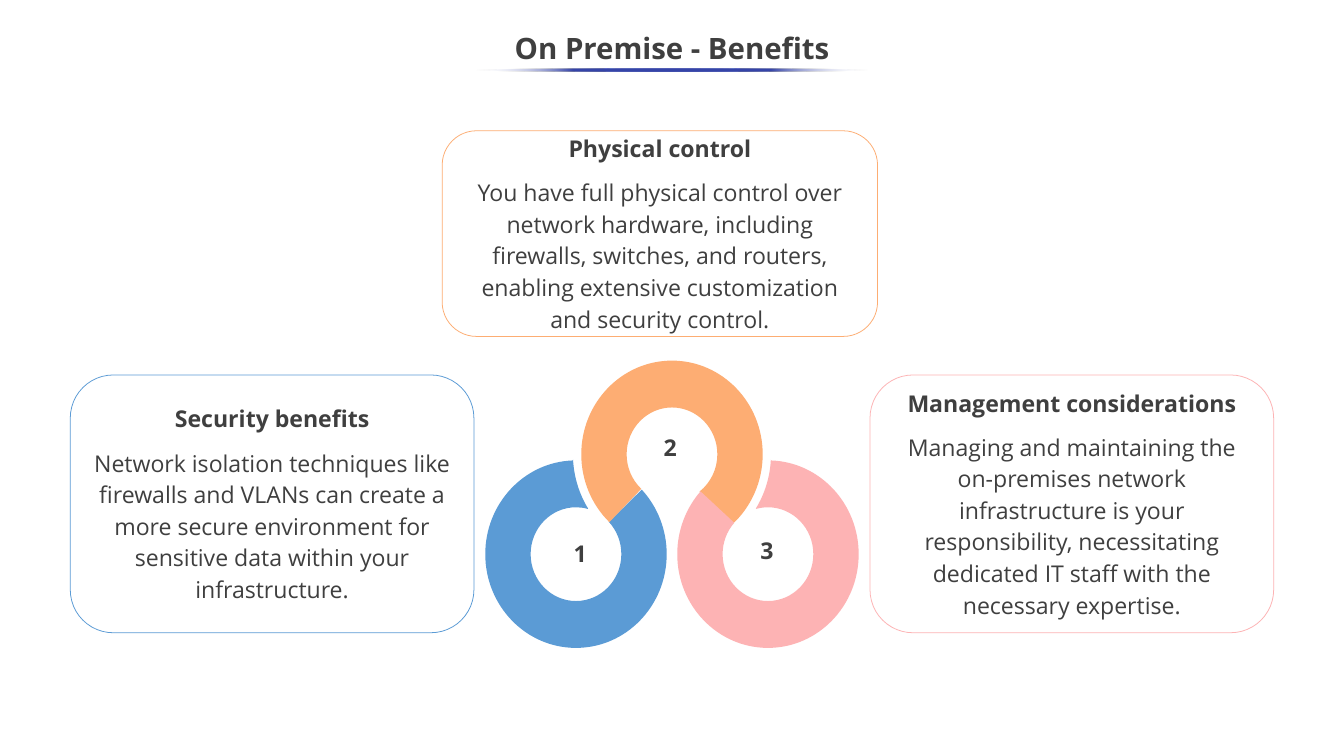
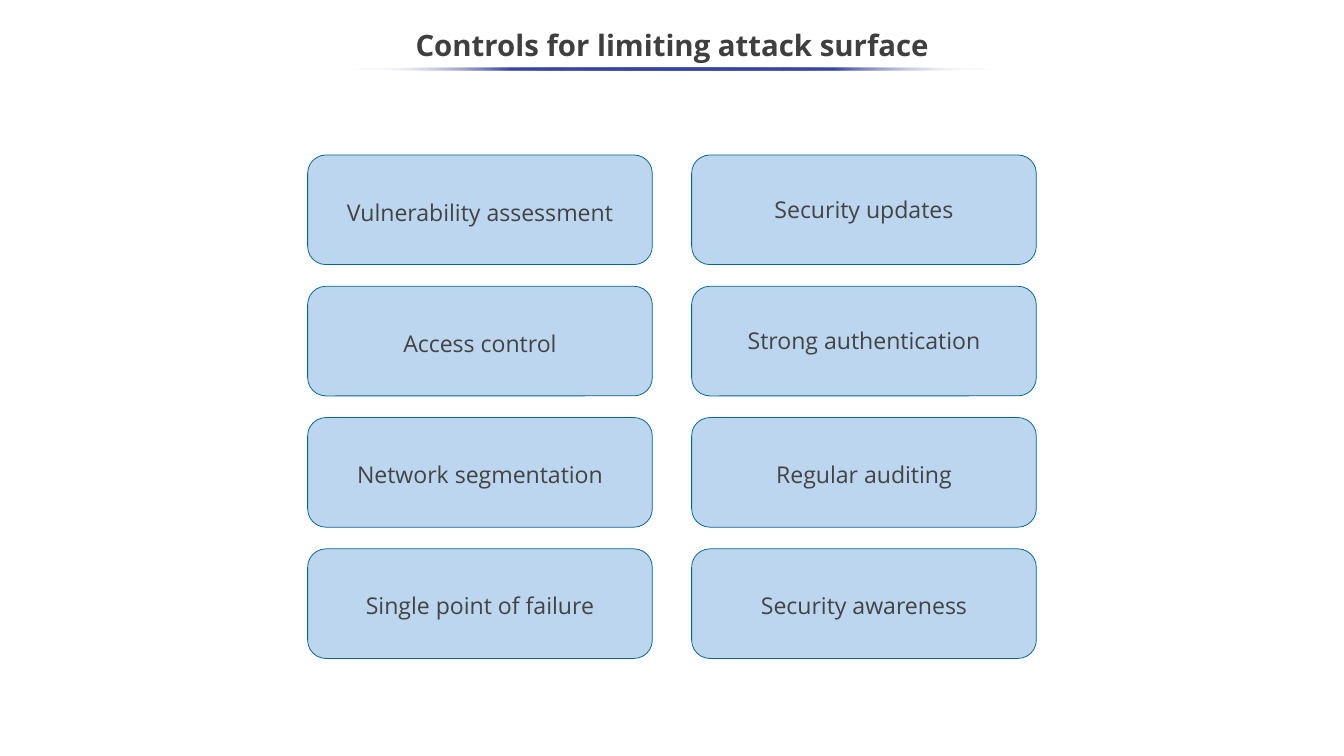
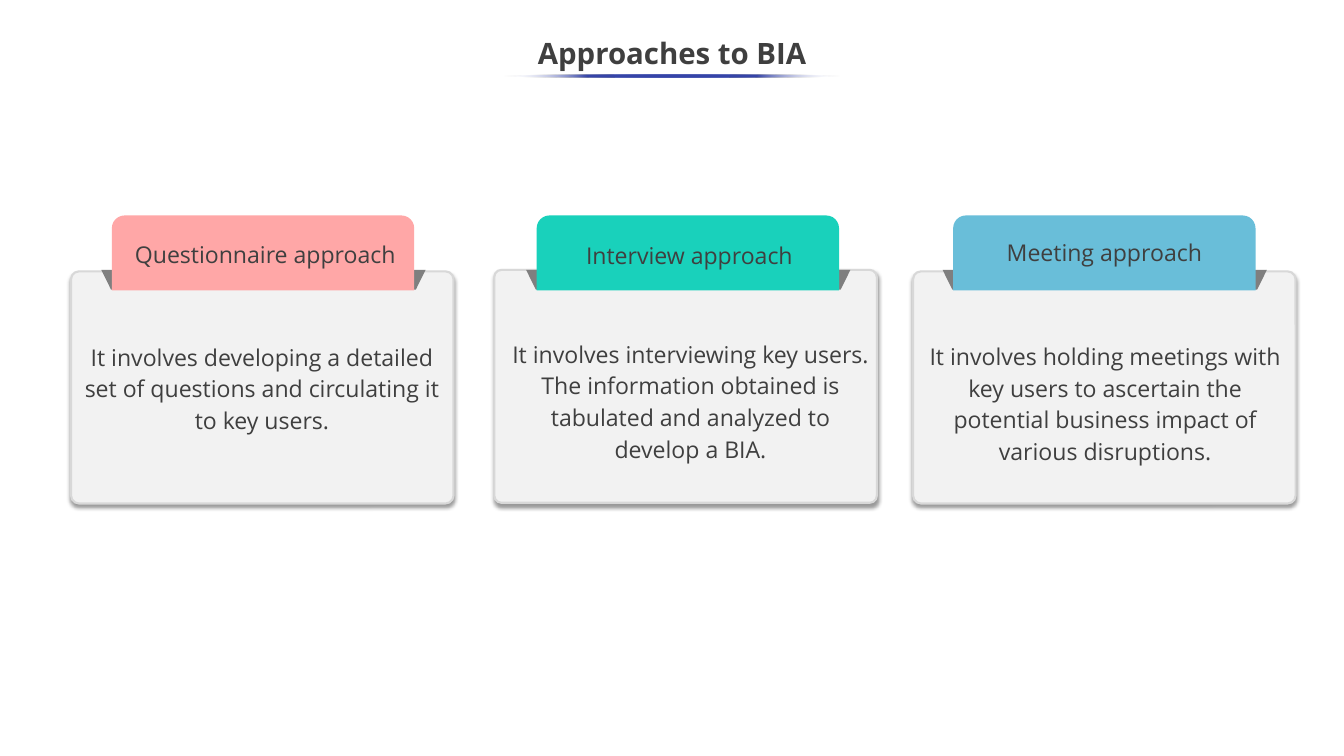
"""Build three slides on network security."""
import math

import lxml.etree
import pptx
import pptx.dml.color
import pptx.enum.shapes
import pptx.enum.text
import pptx.oxml
import pptx.oxml.ns
import pptx.util

Inches = pptx.util.Inches
Pt = pptx.util.Pt
RGBColor = pptx.dml.color.RGBColor
SHAPE = pptx.enum.shapes.MSO_SHAPE
ANCHOR = pptx.enum.text.MSO_ANCHOR
FIT = pptx.enum.text.MSO_AUTO_SIZE
CENTER = pptx.enum.text.PP_ALIGN.CENTER
tag = pptx.oxml.ns.qn

INK = RGBColor(0x3F, 0x3F, 0x3F)
SLATE = RGBColor(0x43, 0x43, 0x43)
NAVY = RGBColor(0x36, 0x45, 0xA9)
WHITE = RGBColor(0xFF, 0xFF, 0xFF)
BLUE = RGBColor(0x5B, 0x9B, 0xD5)
ORANGE = RGBColor(0xFD, 0xAD, 0x73)
PINK = RGBColor(0xFD, 0xB3, 0xB4)
PALE = RGBColor(0xBB, 0xD6, 0xEE)
TEAL = RGBColor(0x05, 0x66, 0x8D)
CORAL = RGBColor(0xFF, 0xA7, 0xA7)
MINT = RGBColor(0x19, 0xD1, 0xBB)
SKY = RGBColor(0x69, 0xBE, 0xD9)
CARD = RGBColor(0xF2, 0xF2, 0xF2)
EDGE = RGBColor(0xD8, 0xD8, 0xD8)
FOLD = RGBColor(0x7F, 0x7F, 0x7F)

BASE = {"name": "Open Sans", "size": Pt(22), "bold": False}
BOLD = {**BASE, "bold": True}
TITLE = {**BOLD, "size": Pt(28)}
BODY = {"alignment": CENTER, "line_spacing": 1.14}
TIGHT = {"alignment": CENTER, "line_spacing": 0.9}
PLAIN = {"alignment": CENTER}
MIDDLE = {"word_wrap": True, "vertical_anchor": ANCHOR.MIDDLE,
          "auto_size": FIT.NONE}
GROW = {"word_wrap": True, "vertical_anchor": ANCHOR.TOP,
        "auto_size": FIT.SHAPE_TO_FIT_TEXT}

DRAWING = pptx.oxml.ns.nsdecls("a")
SHADOW = (f'<a:effectLst {DRAWING}><a:outerShdw blurRad="{Pt(4)}" dist="{Pt(3)}" '
          'dir="5400000" algn="t" rotWithShape="0"><a:srgbClr val="000000">'
          '<a:alpha val="40000"/></a:srgbClr></a:outerShdw></a:effectLst>')

MID = 8.89
RING = (1.2, 1.24)
HOLE = (0.6, 0.62)
GAP = (1.31, 1.35)
TOP = (MID, 6.01)


def apply(target, values):
    """Set each named value on the target."""
    for name, value in values.items():
        setattr(target, name, value)


def write(par, text, look, font, color=INK):
    """Put one formatted text into a paragraph."""
    par.text = text
    apply(par, look)
    apply(par.font, font)
    par.font.color.rgb = color


def paint(shape, fill=None, line=None, width=0.75):
    """Give a shape its fill and line, without shadow."""
    shape.shadow.inherit = False
    if fill is None:
        shape.fill.background()
    else:
        shape.fill.solid()
        shape.fill.fore_color.rgb = fill
    if line is None:
        shape.line.fill.background()
    else:
        shape.line.color.rgb = line
        shape.line.width = Pt(width)


def block(slide, kind, box, adjust=(), **colors):
    """Add a painted preset shape."""
    shape = slide.shapes.add_shape(kind, *map(Inches, box))
    for index, value in enumerate(adjust):
        shape.adjustments[index] = value
    paint(shape, **colors)
    return shape


def swap(shape, name, xml):
    """Replace a named part of the shape's properties."""
    props = shape.element.spPr
    props.replace(props.find(tag(name)), pptx.oxml.parse_xml(xml))


def label(slide, box, text, look, font=BASE):
    """Add a text box that fits its text."""
    frame = slide.shapes.add_textbox(*map(Inches, box)).text_frame
    apply(frame, GROW)
    write(frame.paragraphs[0], text, look, font)


def streak(slide, top, width):
    """Add the fading rule below a title."""
    rule = block(slide, SHAPE.OVAL, (MID - width / 2, top, width, 0.04), fill=NAVY)
    stops = "".join(
        f'<a:gs pos="{place * 1000}"><a:srgbClr val="{color}">'
        f'<a:alpha val="{alpha * 1000}"/></a:srgbClr></a:gs>'
        for place, color, alpha in ((0, WHITE, 0), (25, NAVY, 100), (50, NAVY, 100),
                                    (75, NAVY, 100), (100, WHITE, 0)))
    swap(rule, "a:solidFill",
         f'<a:gradFill {DRAWING} rotWithShape="1"><a:gsLst>{stops}</a:gsLst>'
         '<a:lin ang="10800000" scaled="0"/></a:gradFill>')


def page(deck, text, top):
    """Add a slide with its title."""
    slide = deck.slides.add_slide(deck.slide_layouts[5])
    title = slide.shapes.title
    apply(title, {"left": Inches(-0.01), "top": Inches(top),
                  "width": Inches(17.8), "height": Inches(0.75)})
    apply(title.text_frame, MIDDLE)
    write(title.text_frame.paragraphs[0], text, TIGHT, TITLE)
    return slide


def arc(center, radii, start, end):
    """Return an elliptic arc as curve points, split at the quarters."""
    low, high = sorted((start, end))
    turns = [low, *range(math.floor(low / 90) * 90 + 90, math.ceil(high), 90), high]
    if start > end:
        turns.reverse()

    def spot(turn, pull=0):
        """Return a point on the ellipse, moved along its tangent."""
        cos, sin = math.cos(math.radians(turn)), math.sin(math.radians(turn))
        return (center[0] + radii[0] * (cos - pull * sin),
                center[1] + radii[1] * (sin + pull * cos))

    points = [spot(start)]
    for first, last in zip(turns, turns[1:]):
        pull = 4 / 3 * math.tan(math.radians(last - first) / 4)
        points += [spot(first, pull), spot(last, -pull), spot(last)]
    return points


def join(*arcs):
    """Link arcs by straight curves into one closed outline."""
    points = list(arcs[0])
    for part in arcs[1:]:
        points += [points[-1], part[0], *part]
    return points


def outline(slide, points, color):
    """Add a filled freeform made of curves."""
    dots = [(Inches(x), Inches(y)) for x, y in points]
    pen = slide.shapes.build_freeform(*dots[0])
    pen.add_line_segments(dots[1:], close=True)
    shape = pen.convert_to_shape()
    trace = next(shape.element.iter(tag("a:path")))
    lines = trace.findall(tag("a:lnTo"))
    for index in range(0, len(points) - 1, 3):
        curve = lxml.etree.Element(tag("a:cubicBezTo"))
        lines[index].addprevious(curve)
        for line in lines[index:index + 3]:
            curve.append(line[0])
            trace.remove(line)
    paint(shape, fill=color)


def hook(cut):
    """Return the outline of the left ring, open at the cut angle."""
    center = (7.62, 7.33)
    return join(arc(center, HOLE, cut, 285), arc(TOP, GAP, 148, 177),
                arc(center, RING, 268, cut))


def note(slide, box, color, head, text):
    """Add a rounded outline with a heading and a text."""
    frame = block(slide, SHAPE.ROUNDED_RECTANGLE, box, [0.167], line=color).text_frame
    apply(frame, MIDDLE)
    write(frame.paragraphs[0], head, PLAIN, BOLD)
    write(frame.add_paragraph(), text, {**BODY, "space_before": Pt(12)}, BASE)


def benefits(deck):
    """Build the slide with three linked rings."""
    slide = page(deck, "On Premise - Benefits", 0.29)
    note(slide, (5.85, 1.73, 5.76, 2.72), ORANGE, "Physical control",
         "You have full physical control over network hardware, including firewalls, "
         "switches, and routers, enabling extensive customization and security control.")
    note(slide, (0.93, 4.96, 5.34, 3.41), BLUE, "Security benefits",
         "Network isolation techniques like firewalls and VLANs can create a more "
         "secure environment for sensitive data within your infrastructure.")
    note(slide, (11.51, 4.96, 5.34, 3.41), PINK, "Management considerations",
         "Managing and maintaining the on-premises network infrastructure is your "
         "responsibility, necessitating dedicated IT staff with the necessary expertise.")
    outline(slide, hook(-43.5), BLUE)
    outline(slide, join(arc(TOP, RING, 133.7, 407.6), arc(TOP, HOLE, 412.6, 132.6)),
            ORANGE)
    outline(slide, [(2 * MID - x, y) for x, y in hook(-42)], PINK)
    for digit, left, top in (("1", 7.26, 7.08), ("2", 8.45, 5.69), ("3", 9.73, 7.04)):
        label(slide, (left, top, 0.83, 0.44), digit, PLAIN, BOLD)
    streak(slide, 0.91, 5.21)


def controls(deck):
    """Build the slide with the grid of controls."""
    slide = page(deck, "Controls for limiting attack surface", 0.25)
    grid = (("Vulnerability assessment", "Access control",
             "Network segmentation", "Single point of failure"),
            ("Security updates", "Strong authentication",
             "Regular auditing", "Security awareness"))
    step = (7.26 - 2.05) / 3
    for col, names in enumerate(grid):
        for row, name in enumerate(names):
            box = (4.07 + 5.08 * col, 2.05 + step * row, 4.56, 1.45)
            tile = block(slide, SHAPE.ROUNDED_RECTANGLE, box, [0.167],
                         fill=PALE, line=TEAL)
            raised = col == 1 and row < 2
            apply(tile.text_frame, {**MIDDLE, "margin_top": Inches(0.1),
                                    "margin_bottom": Inches(0.17 if raised else 0.1)})
            write(tile.text_frame.paragraphs[0], name,
                  {**BODY, "line_spacing": 1.15}, BASE, SLATE)
    streak(slide, 0.89, 8.5)


def panel(slide, box, bend):
    """Add a card with a soft shadow."""
    card = block(slide, SHAPE.ROUNDED_RECTANGLE, box, [bend],
                 fill=CARD, line=EDGE, width=2)
    swap(card, "a:effectLst", SHADOW)


def flap(slide, left, color, head, spot):
    """Add a folded tab with its heading."""
    fold = block(slide, SHAPE.TRAPEZOID, (left - 0.14, 3.57, 4.29, 0.26), [0.494],
                 fill=FOLD)
    fold.rotation = 180
    block(slide, SHAPE.ROUND_2_SAME_RECTANGLE, (left, 2.85, 4, 0.99), [0.17, 0],
          fill=color)
    label(slide, spot, head, TIGHT)


def approaches(deck):
    """Build the slide with three cards."""
    slide = page(deck, "Approaches to BIA", 0.35)
    panel(slide, (12.08, 3.59, 5.06, 3.07), 0.034)
    label(slide, (12.19, 4.43, 4.86, 1.79),
          "It involves holding meetings with key users to ascertain the potential "
          "business impact of various disruptions.", BODY)
    panel(slide, (6.54, 3.57, 5.06, 3.08), 0.03)
    label(slide, (6.59, 4.4, 5.09, 1.79),
          "It involves interviewing key users. The information obtained is tabulated "
          "and analyzed to develop a BIA.", BODY)
    panel(slide, (0.94, 3.59, 5.06, 3.07), 0.034)
    flap(slide, 1.48, CORAL, "Questionnaire approach", (1.51, 3.17, 4, 0.43))
    flap(slide, 7.1, MINT, "Interview approach", (7.14, 3.19, 3.96, 0.43))
    flap(slide, 12.61, SKY, "Meeting approach", (12.76, 3.15, 3.7, 0.43))
    label(slide, (0.99, 4.44, 4.95, 1.37),
          "It involves developing a detailed set of questions and circulating it "
          "to key users.", BODY)
    streak(slide, 0.99, 4.45)


def main():
    """Build and save the deck."""
    deck = pptx.Presentation()
    apply(deck, {"slide_width": Inches(17.78), "slide_height": Inches(10)})
    for build in (benefits, controls, approaches):
        build(deck)
    deck.save("out.pptx")


if __name__ == "__main__":
    main()
